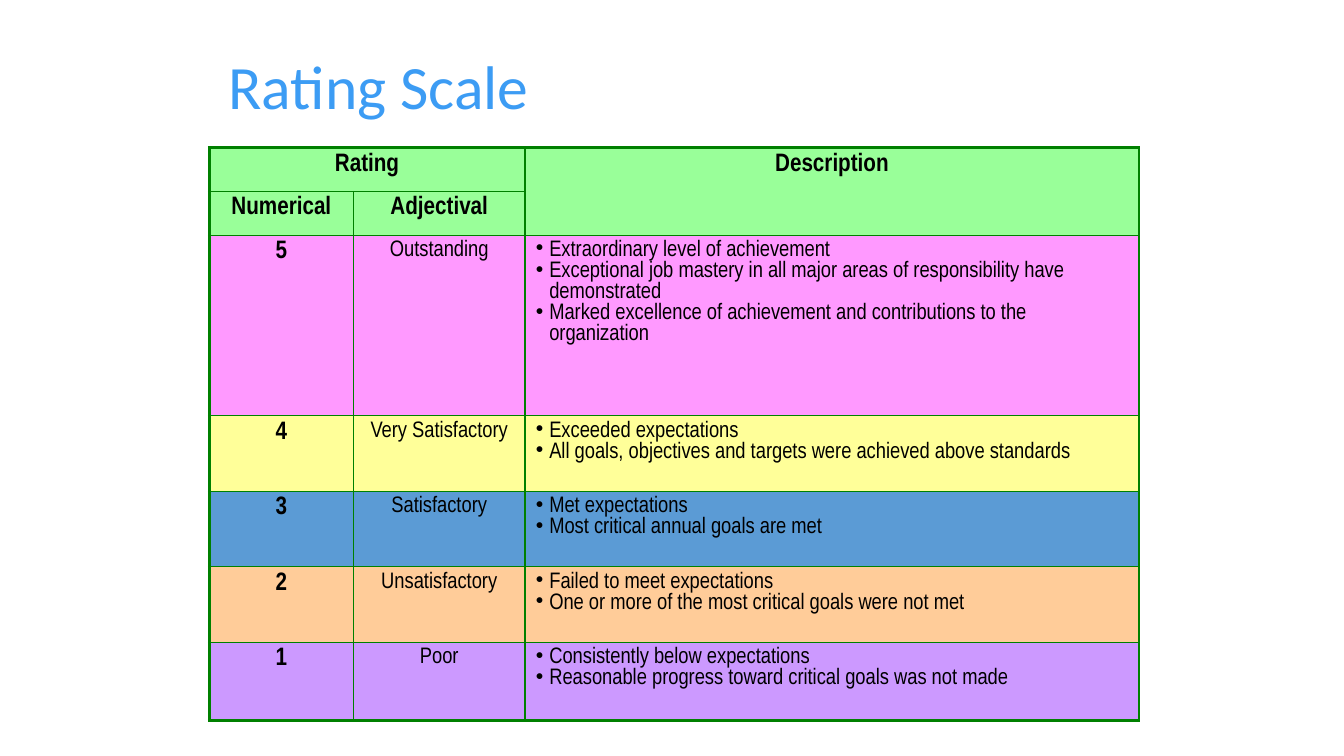
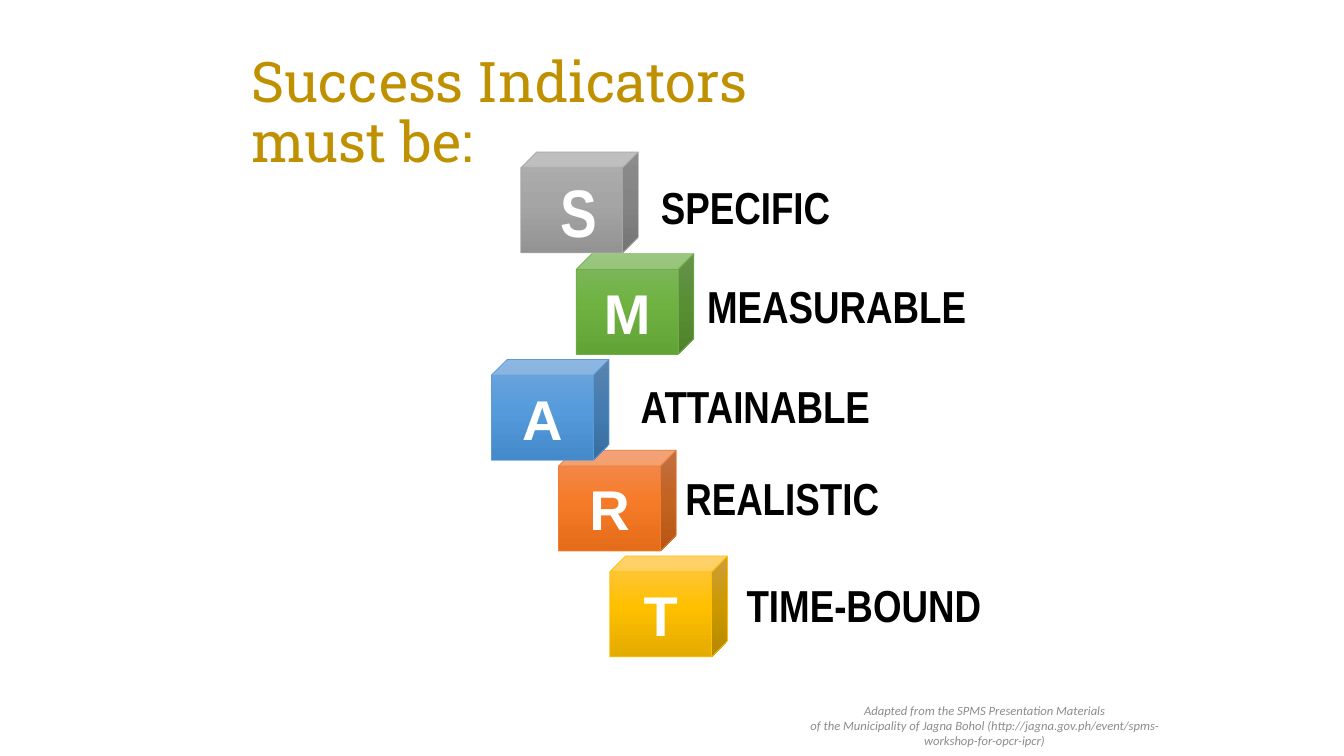
from copy import deepcopy

from lxml import etree
from pptx import Presentation
from pptx.dml.color import RGBColor
from pptx.enum.shapes import MSO_SHAPE
from pptx.enum.text import MSO_ANCHOR, PP_ALIGN
from pptx.oxml.ns import qn
from pptx.util import Inches, Pt

CUBE = MSO_SHAPE.CUBE
MIDDLE, TOP = MSO_ANCHOR.MIDDLE, MSO_ANCHOR.TOP
LEFT, CENTER = PP_ALIGN.LEFT, PP_ALIGN.CENTER

# The slide is a grid of 160 columns by 90 rows, twelve to the inch.
COLUMNS, ROWS = 160, 90
UNITS_PER_INCH = 12

BLACK, WHITE, GREY = "000000", "FFFFFF", "8C8C8C"
BLUE, GOLD = "3C9CF4", "BF9000"
HEADER_FILL, BORDER = "99FF99", "008000"
NARROW = "Arial Narrow"

TABLE_COLUMNS = (17.2, 20.4, 73.1)
HEADER_HEIGHT = 5.2

# number, adjective, fill, row height, descriptions
RATINGS = [
    ("5", "Outstanding", "FF99FF", 21.5, [
        "Extraordinary level of achievement",
        "Exceptional job mastery in all major areas of responsibility have\ndemonstrated",
        "Marked excellence of achievement and contributions to the\norganization"]),
    ("4", "Very Satisfactory", "FFFF99", 9, [
        "Exceeded expectations",
        "All goals, objectives and targets were achieved above standards"]),
    ("3", "Satisfactory", "5B9BD5", 9, [
        "Met expectations",
        "Most critical annual goals are met"]),
    ("2", "Unsatisfactory", "FFCC99", 9, [
        "Failed to meet expectations",
        "One or more of the most critical goals were not met"]),
    ("1", "Poor", "CC99FF", 9.3, [
        "Consistently below expectations",
        "Reasonable progress toward critical goals was not made"]),
]

CUBE_SIZE = (14, 12)
CUBE_DEPTH = 0.157
LABEL_SIZE = (35.4, 7.7)

# word, cube corner, label corner, gradient, outline
INDICATORS = [
    ("SPECIFIC", (62, 18.1), (77.5, 20.8), ("AFAFAF", "A5A5A5", "939393"), "A5A5A5"),
    ("MEASURABLE", (68.6, 30.2), (83, 32.6), ("81B861", "6FB242", "62A336"), "70AD47"),
    ("ATTAINABLE", (58.5, 42.8), (75.1, 44.5), ("71A6DB", "559BDB", "448ACA"), "5B9BD5"),
    ("REALISTIC", (66.5, 53.6), (80.4, 55.5), ("F18C57", "F67B28", "E56C19"), "ED7D31"),
    ("TIME-BOUND", (72.6, 66.2), (87.7, 68.2), ("FFC64B", "FFC000", "E3AB00"), "FFC000"),
]


def units(count):
    return Inches(count / UNITS_PER_INCH)


def color(hex_code):
    return RGBColor.from_string(hex_code)


def style(para, size, font, hex_code, bold=False, italic=False, align=LEFT):
    para.alignment = align
    para.font.size = Pt(size)
    para.font.name = font
    para.font.bold = bold
    para.font.italic = italic
    para.font.color.rgb = color(hex_code)


def write(frame, lines, **look):
    """Fill a text frame with one paragraph a line and return the paragraphs."""
    paras = [frame.paragraphs[0]] + [frame.add_paragraph() for _ in lines[1:]]
    for para, line in zip(paras, lines):
        para.text = line
        style(para, **look)
    return paras


def add_text(page, area, lines, anchor=TOP, **look):
    box = page.shapes.add_textbox(*map(units, area))
    frame = box.text_frame
    frame.word_wrap = True
    frame.vertical_anchor = anchor
    return frame, write(frame, lines, **look)


def add_title(page, area, text, size, font, hex_code, inset=1.2):
    frame, paras = add_text(page, area, [text], MIDDLE,
                            size=size, font=font, hex_code=hex_code)
    frame.margin_left = units(inset)
    paras[0].line_spacing = 0.9


def add_bullet(para):
    properties = para._p.get_or_add_pPr()
    hang = units(1.6)
    properties.set("marL", str(hang))
    properties.set("indent", str(-hang))
    etree.SubElement(properties, qn("a:buChar"), char="•")


def set_border(cell, side, width):
    line = etree.SubElement(cell._tc.get_or_add_tcPr(), qn(f"a:ln{side}"),
                            w=str(Pt(width)))
    fill = etree.SubElement(line, qn("a:solidFill"))
    etree.SubElement(fill, qn("a:srgbClr"), val=BORDER)


def frame_cells(table):
    """Draw thin lines between cells and a thick one around the table."""
    last_row, last_column = len(table.rows) - 1, len(table.columns) - 1
    for r in range(last_row + 1):
        for c in range(last_column + 1):
            outer = {"L": c == 0, "R": c == last_column,
                     "T": r == 0, "B": r == last_row}
            for side, is_outer in outer.items():
                set_border(table.cell(r, c), side, 2.25 if is_outer else 1)


def fill_cell(cell, lines, fill, size=16, bold=False, align=CENTER):
    cell.fill.solid()
    cell.fill.fore_color.rgb = color(fill)
    cell.margin_left = cell.margin_right = units(1.3)
    return write(cell.text_frame, lines, size=size, font=NARROW,
                 hex_code=BLACK, bold=bold, align=align)


def add_rating_table(page, left, top):
    heights = [HEADER_HEIGHT] * 2 + [rating[3] for rating in RATINGS]
    area = (left, top, sum(TABLE_COLUMNS), sum(heights))
    table = page.shapes.add_table(len(heights), len(TABLE_COLUMNS),
                                  *map(units, area)).table
    for column, width in zip(table.columns, TABLE_COLUMNS):
        column.width = units(width)
    for row, height in zip(table.rows, heights):
        row.height = units(height)
    frame_cells(table)

    table.cell(0, 0).merge(table.cell(0, 1))
    table.cell(0, 2).merge(table.cell(1, 2))
    headers = {(0, 0): "Rating", (0, 2): "Description",
               (1, 0): "Numerical", (1, 1): "Adjectival"}
    for position, header in headers.items():
        fill_cell(table.cell(*position), [header], HEADER_FILL, 18, True)

    for r, (number, adjective, fill, _, descriptions) in enumerate(RATINGS, 2):
        fill_cell(table.cell(r, 0), [number], fill, 18, True)
        fill_cell(table.cell(r, 1), [adjective], fill)
        for para in fill_cell(table.cell(r, 2), descriptions, fill, align=LEFT):
            add_bullet(para)


def fill_gradient(shape, hex_codes):
    """Shade a shape from top to bottom with three evenly spaced colours."""
    shape.fill.gradient()
    shape.fill.gradient_angle = 270
    stop_list = shape._element.spPr.find(".//" + qn("a:gsLst"))
    stop_list.append(deepcopy(stop_list[0]))
    for stop, position, hex_code in zip(shape.fill.gradient_stops, (0, 0.5, 1), hex_codes):
        stop.position = position
        stop.color.rgb = color(hex_code)


def add_cube(page, corner, letter, gradient, outline, size=40, font="Arial", inset=1.2):
    cube = page.shapes.add_shape(CUBE, *map(units, corner + CUBE_SIZE))
    cube.adjustments[0] = CUBE_DEPTH
    cube.shadow.inherit = False
    fill_gradient(cube, gradient)
    cube.line.color.rgb = color(outline)
    cube.line.width = Pt(0.5)
    frame = cube.text_frame
    frame.vertical_anchor = MIDDLE
    frame.margin_left = units(inset)
    write(frame, [letter], size=size, font=font, hex_code=WHITE, bold=True, align=CENTER)


def build_rating_scale(page):
    add_title(page, (22.6, 2.5, 116, 16.4), "Rating Scale", 44, "Calibri", BLUE, inset=4.6)
    add_rating_table(page, 24.9, 17.6)


def build_success_indicators(page):
    first_cube = {"size": 48, "font": NARROW, "inset": 3}
    for word, corner, _, gradient, outline in reversed(INDICATORS):
        look = first_cube if word == INDICATORS[0][0] else {}
        add_cube(page, corner, word[0], gradient, outline, **look)
    for word, _, corner, _, _ in INDICATORS:
        add_text(page, corner + LABEL_SIZE, [word],
                 size=32, font=NARROW, hex_code=BLACK, bold=True)
    add_text(page, (94, 84, 46.4, 4.8), [
        "Adapted from the SPMS Presentation Materials",
        "of the Municipality of Jagna Bohol "
        "(http://jagna.gov.ph/event/spms-workshop-for-opcr-ipcr)",
    ], MIDDLE, size=9, font="Calibri", hex_code=GREY, italic=True, align=CENTER)
    add_title(page, (28.8, 6.4, 117, 14.4), "Success Indicators\nmust be:",
              40, "Roboto Slab", GOLD)


def main():
    deck = Presentation()
    deck.slide_width, deck.slide_height = units(COLUMNS), units(ROWS)
    blank = deck.slide_layouts[6]
    for build in (build_rating_scale, build_success_indicators):
        build(deck.slides.add_slide(blank))
    deck.save("out.pptx")


if __name__ == "__main__":
    main()
